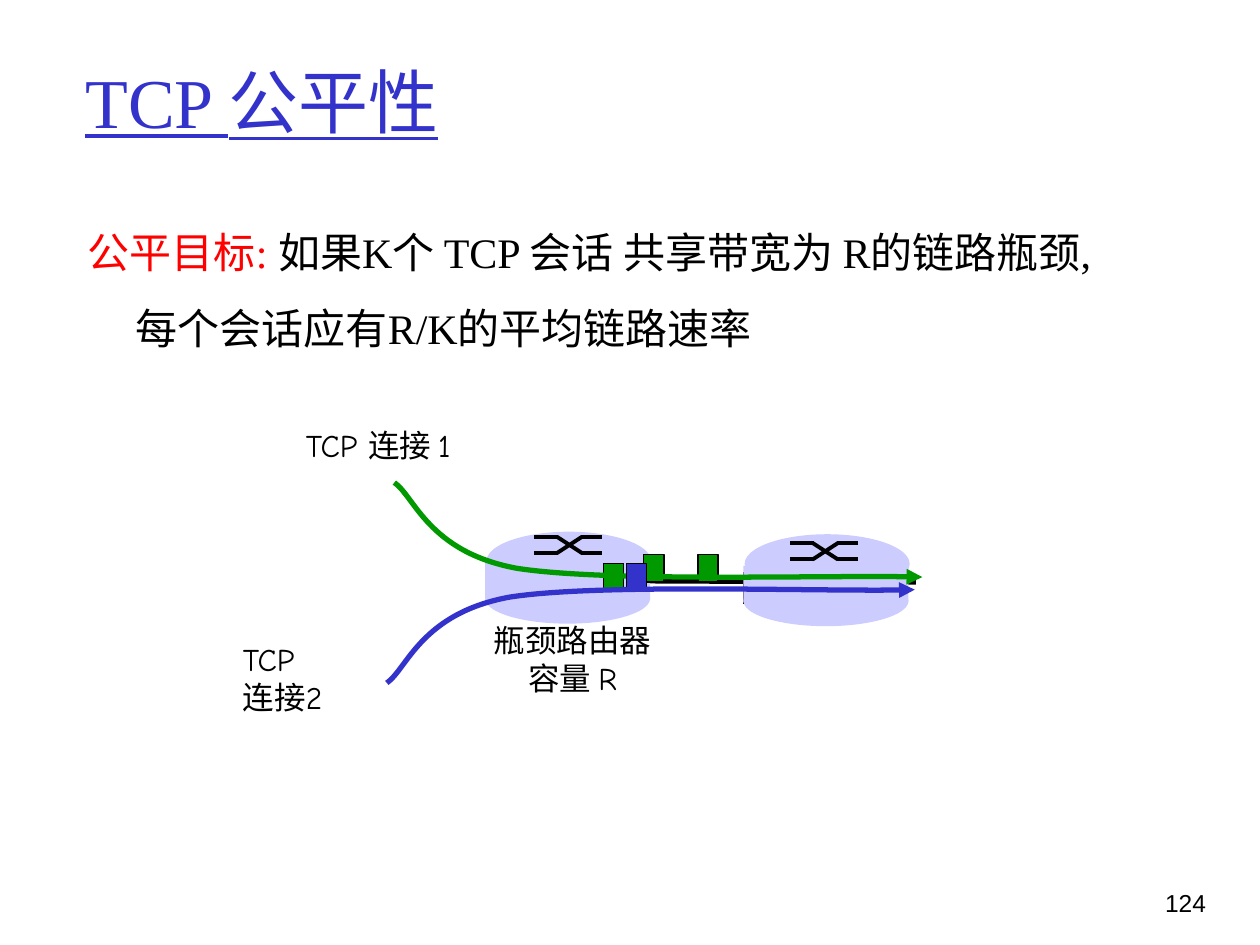
from pptx import Presentation
from pptx.dml.color import RGBColor
from pptx.enum.shapes import MSO_CONNECTOR, MSO_SHAPE
from pptx.enum.text import MSO_ANCHOR, PP_ALIGN
from pptx.oxml.ns import qn
from pptx.util import Inches, Pt
from lxml import etree

ELLIPSE, RECT = MSO_SHAPE.OVAL, MSO_SHAPE.RECTANGLE
STRAIGHT = MSO_CONNECTOR.STRAIGHT
LEFT, CENTER, RIGHT = PP_ALIGN.LEFT, PP_ALIGN.CENTER, PP_ALIGN.RIGHT
TOP, MIDDLE = MSO_ANCHOR.TOP, MSO_ANCHOR.MIDDLE
SERIF, SANS, COMIC = "Times New Roman", "Arial", "Comic Neue"
BLACK, RED, BLUE, GREEN, LILAC = "000000", "FF0000", "3333CC", "009900", "CCCCFF"


def rgb(value):
    return RGBColor.from_string(value)


def add_text(slide, box, lines, font, size, color=BLACK, align=LEFT,
             anchor=TOP, wrap=True):
    frame = slide.shapes.add_textbox(*map(Inches, box)).text_frame
    frame.word_wrap = wrap
    frame.vertical_anchor = anchor
    for i, line in enumerate(lines):
        paragraph = frame.paragraphs[0] if i == 0 else frame.add_paragraph()
        paragraph.text = line
        paragraph.alignment = align
        paragraph.font.name = font
        paragraph.font.size = Pt(size)
        paragraph.font.color.rgb = rgb(color)
    return frame


def add_block(slide, kind, box, fill, outlined=False):
    block = slide.shapes.add_shape(kind, *map(Inches, box))
    block.shadow.inherit = False
    block.fill.solid()
    block.fill.fore_color.rgb = rgb(fill)
    if outlined:
        block.line.color.rgb = rgb(BLACK)
        block.line.width = Pt(0.75)
    else:
        block.line.fill.background()


def add_line(slide, x1, y1, x2, y2, width):
    line = slide.shapes.add_connector(STRAIGHT, *map(Inches, (x1, y1, x2, y2)))
    line.line.color.rgb = rgb(BLACK)
    line.line.width = Pt(width)
    etree.SubElement(line._element.spPr, qn("a:effectLst"))


def add_flow(slide, start, controls, color):
    """Draw an arrow of cubic curves, three control points to each curve."""
    builder = slide.shapes.build_freeform(*map(Inches, start), scale=1.0)
    builder.add_line_segments(
        [(Inches(x), Inches(y)) for x, y in controls], close=False)
    flow = builder.convert_to_shape()
    flow.shadow.inherit = False
    flow.fill.background()
    flow.line.color.rgb = rgb(color)
    flow.line.width = Pt(3)
    # Regroup the straight segments into curves
    outline = flow._element.spPr.find(".//" + qn("a:path"))
    segments = outline.findall(qn("a:lnTo"))
    for i in range(0, len(segments), 3):
        curve = etree.SubElement(outline, qn("a:cubicBezTo"))
        for segment in segments[i:i + 3]:
            curve.append(segment[0])
            outline.remove(segment)
    etree.SubElement(flow.line._get_or_add_ln(), qn("a:tailEnd"), type="triangle")


def add_router(slide, left, top):
    add_block(slide, ELLIPSE, (left, top + 0.33, 1.31, 0.4), LILAC)
    add_block(slide, RECT, (left, top + 0.25, 1.31, 0.29), LILAC)
    add_block(slide, ELLIPSE, (left + 0.01, top, 1.31, 0.47), LILAC)


def add_switch(slide, left, top):
    """Two lines that cross between an upper and a lower level."""
    low = top + 0.13
    for y, other in ((top, low), (low, top)):
        add_line(slide, left, y, left + 0.19, y, 2.25)
        add_line(slide, left + 0.18, y, left + 0.38, other, 2.25)
        add_line(slide, left + 0.37, y, left + 0.54, y, 2.25)


def add_packet(slide, left, top, color):
    add_block(slide, RECT, (left, top, 0.16, 0.22), color, outlined=True)


def add_heading(slide, box):
    title = add_text(slide, box, ["TCP 公平性"], SERIF, 40, BLUE, anchor=MIDDLE)
    title.paragraphs[0].font.underline = True


def add_goal(slide, box):
    goal = add_text(slide, box, [""], SERIF, 24).paragraphs[0]
    properties = goal._p.get_or_add_pPr()
    properties.set("marL", str(Inches(0.38)))
    properties.set("indent", str(-Inches(0.38)))
    goal.line_spacing = 1.5
    term = goal.add_run()
    term.text = "公平目标:"
    term.font.color.rgb = rgb(RED)
    goal.add_run().text = (" 如果K个 TCP 会话 共享带宽为 R的链路瓶颈, "
                           "每个会话应有R/K的平均链路速率")


def add_network(slide, left, top):
    # Bottleneck link and the routers at its ends
    add_line(slide, left + 3.32, top + 1.28, left + 5.44, top + 1.29, 3)
    add_router(slide, left + 2.02, top + 0.89)
    add_switch(slide, left + 2.41, top + 0.93)
    add_line(slide, left + 4.07, top + 1.21, left + 4.07, top + 1.46, 1)
    add_router(slide, left + 4.07, top + 0.91)
    add_switch(slide, left + 4.44, top + 0.98)

    # Packets and the two flows
    for x, y in ((3.71, 1.07), (2.96, 1.14), (3.28, 1.07)):
        add_packet(slide, left + x, top + y, GREEN)
    add_flow(slide, (left + 1.3, top + 0.5),
             [(left + x, top + y) for x, y in (
                 (1.46, 0.61), (1.57, 1.05), (2.27, 1.18),
                 (2.97, 1.29), (4.82, 1.23), (5.49, 1.25))], GREEN)
    add_packet(slide, left + 3.14, top + 1.14, BLUE)
    add_flow(slide, (left + 1.24, top + 2.09),
             [(left + x, top + y) for x, y in (
                 (1.4, 1.98), (1.51, 1.54), (2.21, 1.41),
                 (2.9, 1.3), (4.76, 1.37), (5.43, 1.35))], BLUE)

    # Labels
    add_text(slide, (left + 0.5, top, 1.41, 0.4), ["TCP 连接 1"], COMIC, 18)
    add_text(slide, (left, top + 1.7, 0.85, 0.7), ["TCP", "连接2"], COMIC, 18)
    add_text(slide, (left + 1.99, top + 1.55, 1.45, 0.7),
             ["瓶颈路由器", "容量 R"], COMIC, 18, align=CENTER, wrap=False)


def main():
    deck = Presentation()
    deck.slide_width, deck.slide_height = Inches(10), Inches(7.5)
    slide = deck.slides.add_slide(deck.slide_layouts[6])
    add_heading(slide, (0.58, 0.17, 8.5, 1.25))
    add_goal(slide, (0.6, 1.55, 8.33, 1.62))
    add_network(slide, 1.83, 3.33)
    add_text(slide, (8.93, 7, 0.74, 0.5), ["124"], SANS, 14, align=RIGHT)
    deck.save("out.pptx")


if __name__ == "__main__":
    main()
